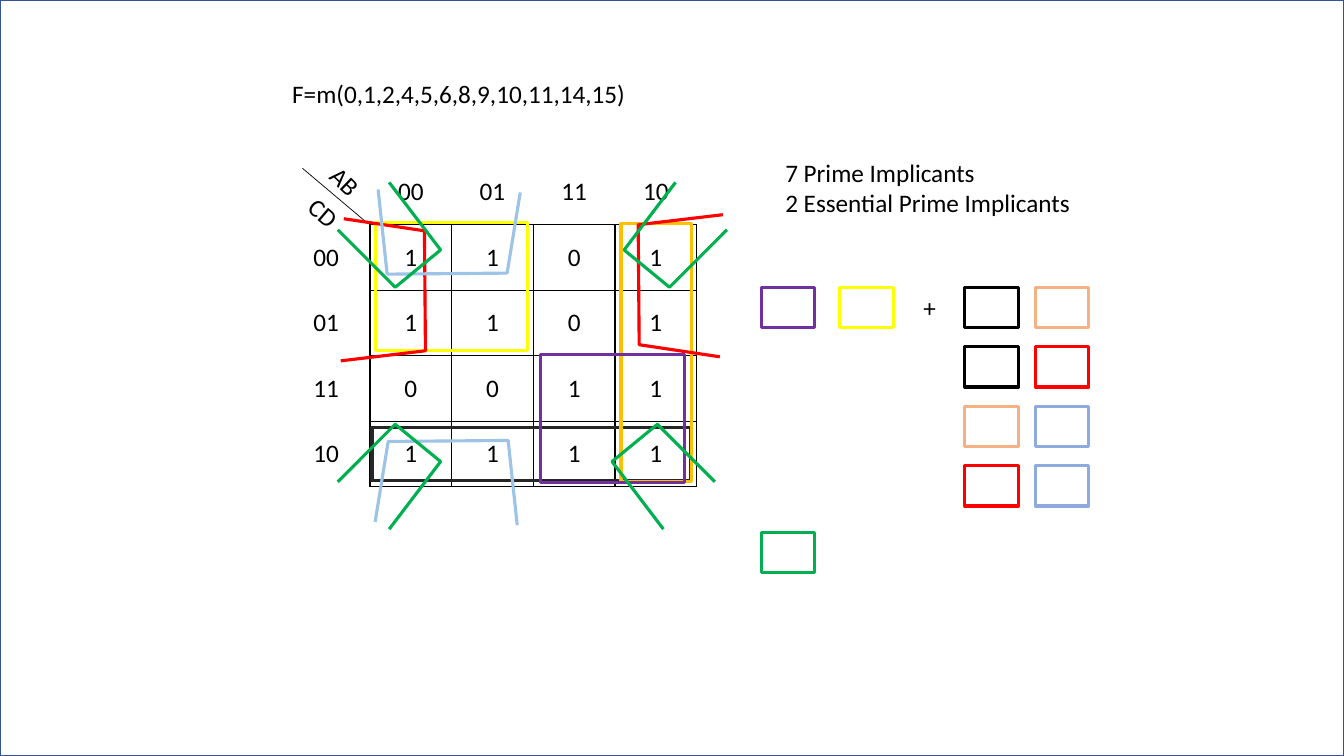
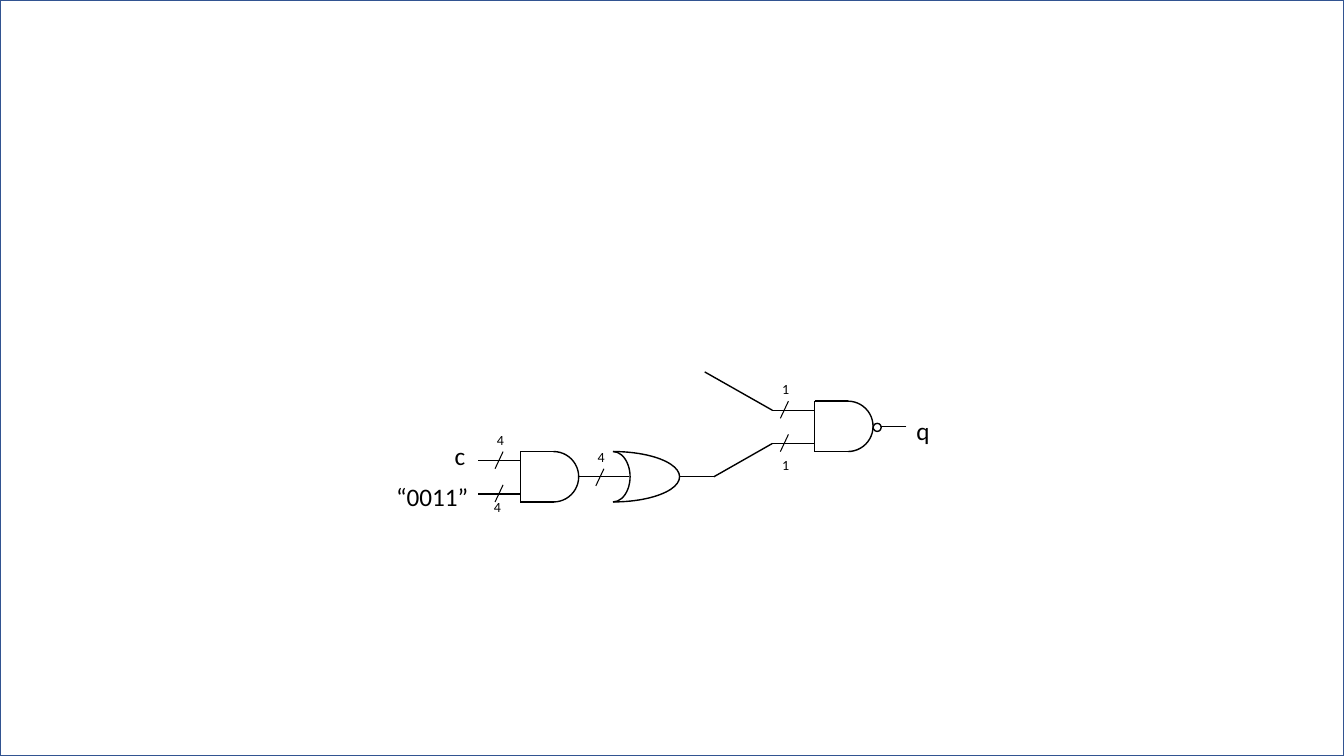
import pptx
import pptx.util
import pptx.dml.color
import pptx.enum.shapes
import pptx.enum.text
import pptx.oxml
import pptx.oxml.ns

Inches = pptx.util.Inches
Pt = pptx.util.Pt
SHAPES = pptx.enum.shapes.MSO_SHAPE
ALIGN = pptx.enum.text.PP_ALIGN

BLACK, WHITE, FRAME = "000000", "FFFFFF", "325491"
CHARCOAL, ORANGE, PURPLE, YELLOW = "262626", "FFC000", "7030A0", "FFFF00"
RED, SKY, GREEN, PEACH, BLUE = "FF0000", "9DC3E6", "00B050", "F4B183", "8FAADC"


def color(value):
    return pptx.dml.color.RGBColor.from_string(value)


def mirror(points, x_sum=None, y_sum=None):
    """Reflect points; a sum is twice the position of the mirror axis."""
    return [(x if x_sum is None else x_sum - x,
             y if y_sum is None else y_sum - y) for x, y in points]


class Deck:
    font_name = "Calibri"
    text_size = 18
    loop_width = 2.25

    def __init__(self):
        self.presentation = pptx.Presentation()
        self.presentation.slide_width = Inches(13.33)
        self.presentation.slide_height = Inches(7.5)
        self.slide = None

    def new_slide(self):
        self.slide = self.presentation.slides.add_slide(self.presentation.slide_layouts[6])
        self.outline(0, 0, 13.33, 7.5, FRAME, 1)

    def style_shape(self, shape, line, width):
        shape.shadow.inherit = False
        shape.fill.background()
        shape.line.color.rgb = color(line)
        shape.line.width = Pt(width)

    def outline(self, left, top, width, height, line, line_width=loop_width, kind=SHAPES.RECTANGLE):
        shape = self.slide.shapes.add_shape(
            kind, Inches(left), Inches(top), Inches(width), Inches(height))
        self.style_shape(shape, line, line_width)
        return shape

    def half_ellipse(self, center_x, center_y, radius_x, radius_y):
        """Right half of an ellipse."""
        shape = self.outline(center_x - radius_x, center_y - radius_y,
                             2 * radius_x, 2 * radius_y, BLACK, 1, SHAPES.ARC)
        # Angles in units of 100000 / 60000 degrees: from 270 to 90
        shape.adjustments[0] = 162
        shape.adjustments[1] = 54

    def open_loop(self, points, line):
        corners = [(Inches(x), Inches(y)) for x, y in points]
        builder = self.slide.shapes.build_freeform(*corners[0])
        builder.add_line_segments(corners[1:], close=False)
        self.style_shape(builder.convert_to_shape(), line, self.loop_width)

    def line(self, x1, y1, x2, y2, width=1):
        connector = self.slide.shapes.add_connector(
            pptx.enum.shapes.MSO_CONNECTOR.STRAIGHT,
            Inches(x1), Inches(y1), Inches(x2), Inches(y2))
        connector.line.color.rgb = color(BLACK)
        connector.line.width = Pt(width)
        properties = connector._element.spPr
        properties.append(pptx.oxml.parse_xml(
            "<a:effectLst %s/>" % pptx.oxml.ns.nsdecls("a")))

    def style_text(self, text_frame, size, align):
        for paragraph in text_frame.paragraphs:
            paragraph.alignment = align
            for run in paragraph.runs:
                run.font.name = self.font_name
                run.font.size = Pt(size)
                run.font.color.rgb = color(BLACK)

    def text(self, left, top, width, height, text, size=text_size, wrap=True,
             rotation=0, align=ALIGN.LEFT, inset=True):
        box = self.slide.shapes.add_textbox(
            Inches(left), Inches(top), Inches(width), Inches(height))
        box.rotation = rotation
        frame = box.text_frame
        frame.text = text
        frame.word_wrap = wrap
        frame.auto_size = pptx.enum.text.MSO_AUTO_SIZE.SHAPE_TO_FIT_TEXT
        if not inset:
            frame.margin_left = frame.margin_right = 0
            frame.margin_top = frame.margin_bottom = 0
        self.style_text(frame, size, align)

    def cell_borders(self, cell, sides):
        properties = cell._tc.get_or_add_tcPr()
        for side in "LRTB":
            paint = '<a:solidFill><a:srgbClr val="%s"/></a:solidFill>' % BLACK
            if side not in sides:
                paint = "<a:noFill/>"
            properties.append(pptx.oxml.parse_xml('<a:ln%s %s w="%d">%s</a:ln%s>' % (
                side, pptx.oxml.ns.nsdecls("a"), Pt(1), paint, side)))

    def karnaugh_map(self, left, top, rows, column_widths, row_height):
        table = self.slide.shapes.add_table(
            len(rows), len(column_widths), Inches(left), Inches(top),
            Inches(sum(column_widths)), Inches(row_height * len(rows))).table
        table.first_row = table.horz_banding = False
        for column, width in zip(table.columns, column_widths):
            column.width = Inches(width)
        for row_index, values in enumerate(rows):
            table.rows[row_index].height = Inches(row_height)
            for column_index, value in enumerate(values):
                cell = table.cell(row_index, column_index)
                if row_index and column_index:
                    sides = "LRTB"
                elif row_index:
                    sides = "R"
                else:
                    sides = "B" if column_index else ""
                self.cell_borders(cell, sides)
                cell.fill.solid()
                cell.fill.fore_color.rgb = color(WHITE)
                cell.margin_left = cell.margin_right = 0
                cell.margin_top = cell.margin_bottom = 0
                cell.vertical_anchor = pptx.enum.text.MSO_ANCHOR.MIDDLE
                cell.text_frame.text = value
                self.style_text(cell.text_frame, self.text_size, ALIGN.CENTER)

    def and_gate(self, left, top):
        """AND body with its two input wires."""
        flat, radius, wire = 0.33, 0.25, 0.42
        bottom = top + 2 * radius
        self.line(left, bottom, left, top)
        for y in (top, bottom):
            self.line(left, y, left + flat, y)
        for y in (top + 0.09, top + 0.42):
            self.line(left, y, left - wire, y)
        self.half_ellipse(left + flat, top + radius, radius, radius)

    def or_gate(self, left, middle):
        """OR body with its input and output wires."""
        for radius_x in (0.17, 0.66):
            self.half_ellipse(left, middle, radius_x, 0.25)
        self.line(left + 0.16, middle, left - 0.17, middle)
        self.line(left + 1, middle, left + 0.66, middle)


def build_karnaugh_slide(deck):
    deck.new_slide()

    # Map and its axis labels
    deck.karnaugh_map(2.8, 1.58, [
        ["", "00", "01", "11", "10"],
        ["00", "1", "1", "0", "1"],
        ["01", "1", "1", "0", "1"],
        ["11", "0", "0", "1", "1"],
        ["10", "1", "1", "1", "1"],
    ], [0.87] + [0.81] * 4, 0.65)
    deck.line(3, 1.67, 3.64, 2.21, 0.5)
    deck.text(2.71, 1.96, 1, 0.3, "CD", rotation=40.5, align=ALIGN.CENTER, inset=False)
    deck.text(3.26, 1.7, 0.45, 0.3, "AB", rotation=43.7, inset=False)
    deck.text(2.8, 0.73, 4.93, 0.4, "F=m(0,1,2,4,5,6,8,9,10,11,14,15)")

    # Closed groups
    deck.outline(3.69, 4.24, 3.16, 0.53, CHARCOAL)
    deck.outline(6.16, 2.22, 0.7, 2.56, ORANGE)
    deck.outline(5.36, 3.52, 1.43, 1.27, PURPLE)
    deck.outline(3.72, 2.21, 1.51, 1.27, YELLOW)

    # Groups that wrap around the edges
    right_edge = [(7.17, 2.13), (6.33, 2.23), (6.34, 3.42), (7.14, 3.54)]
    top_edge = [(3.75, 1.88), (3.84, 2.72), (5.03, 2.71), (5.16, 1.91)]
    top_right = [(6.7, 1.81), (6.19, 2.48), (6.64, 2.85), (7.21, 2.28)]
    top_left = mirror(top_right, x_sum=10.56)
    bottom_left = mirror(top_left, y_sum=7.06)
    bottom_right = mirror(bottom_left, x_sum=10.44)
    for points, line in (
            (right_edge, RED), (mirror(right_edge, 10.55, 5.71), RED),
            (top_edge, SKY), (mirror(top_edge, 8.88, 7.09), SKY),
            (top_right, GREEN), (top_left, GREEN),
            (bottom_left, GREEN), (bottom_right, GREEN)):
        deck.open_loop(points, line)

    # Implicant summary
    deck.text(7.69, 1.51, 3.17, 0.71, "7 Prime Implicants\n2 Essential Prime Implicants")
    deck.text(9.06, 2.85, 0.37, 0.4, "+")
    key_width, key_height, key_top, key_pitch = 0.53, 0.4, 2.85, 0.59
    for left, top, line in ((7.55, key_top, PURPLE), (8.33, key_top, YELLOW),
                            (7.55, 5.28, GREEN)):
        deck.outline(left, top, key_width, key_height, line)
    choices = [(BLACK, PEACH), (BLACK, RED), (PEACH, BLUE), (RED, BLUE)]
    for index, pair in enumerate(choices):
        for left, line in zip((9.57, 10.27), pair):
            deck.outline(left, key_top + index * key_pitch, key_width, key_height, line)


def build_circuit_slide(deck):
    deck.new_slide()

    # Signal names
    for left, top, width, name in ((4.41, 4.32, 0.33, "c"), (3.83, 4.73, 0.92, "“0011”"),
                                   (8.99, 4.07, 0.34, "q")):
        deck.text(left, top, width, 0.4, name, wrap=False)

    # Gates
    deck.and_gate(8.08, 3.98)
    deck.outline(8.66, 4.2, 0.08, 0.08, BLACK, 1, SHAPES.OVAL)
    deck.and_gate(5.16, 4.48)
    deck.or_gate(6.08, 4.73)

    # Wires between the gates
    deck.line(8.99, 4.23, 8.74, 4.23)
    deck.line(6.08, 4.73, 5.74, 4.73)
    deck.line(7.08, 4.73, 7.66, 4.4)
    deck.line(6.99, 3.69, 7.66, 4.07)

    # Bus width marks
    for x, y in ((5.91, 4.82), (4.91, 4.65), (4.91, 4.98), (7.74, 4.48), (7.74, 4.15)):
        deck.line(x, y, x + 0.08, y - 0.17, 0.75)
    for left, top, bits in ((7.66, 3.73, "1"), (7.66, 4.48, "1"), (5.83, 4.4, "4"),
                            (4.83, 4.23, "4"), (4.8, 4.9, "4")):
        deck.text(left, top, 0.28, 0.27, bits, size=10, wrap=False)


def main():
    deck = Deck()
    build_karnaugh_slide(deck)
    build_circuit_slide(deck)
    deck.presentation.save("out.pptx")


if __name__ == "__main__":
    main()
